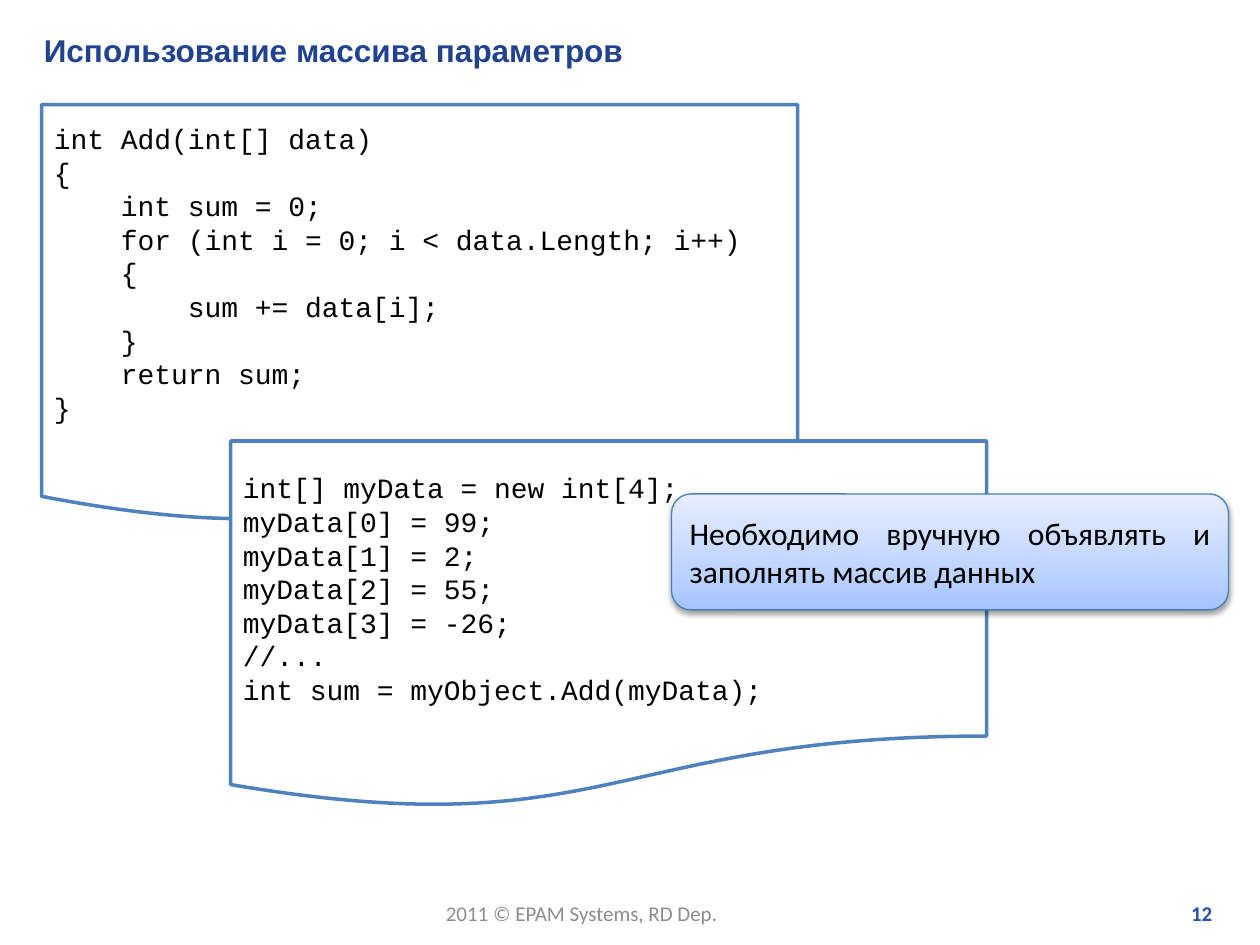
from copy import deepcopy

from lxml import etree
from pptx import Presentation
from pptx.dml.color import RGBColor
from pptx.enum.shapes import MSO_SHAPE
from pptx.enum.text import MSO_ANCHOR, PP_ALIGN
from pptx.oxml.ns import qn
from pptx.util import Inches, Pt

DOCUMENT = MSO_SHAPE.FLOWCHART_DOCUMENT
ROUNDED = MSO_SHAPE.ROUNDED_RECTANGLE
TOP, MIDDLE = MSO_ANCHOR.TOP, MSO_ANCHOR.MIDDLE
LEFT, RIGHT, JUSTIFY = PP_ALIGN.LEFT, PP_ALIGN.RIGHT, PP_ALIGN.JUSTIFY

WHITE = RGBColor(0xFF, 0xFF, 0xFF)
BLACK = RGBColor(0x00, 0x00, 0x00)
NAVY = RGBColor(0x21, 0x43, 0x8F)
BLUE = RGBColor(0x27, 0x50, 0xAB)
GREY = RGBColor(0x8C, 0x8C, 0x8C)
CODE_BORDER = RGBColor(0x4F, 0x81, 0xBD)
CALLOUT_BORDER = RGBColor(0x4B, 0x7E, 0xBC)
CALLOUT_STOPS = [
    (0, RGBColor(0xA4, 0xC4, 0xFF)),
    (0.35, RGBColor(0xBF, 0xD4, 0xFF)),
    (1, RGBColor(0xE6, 0xEE, 0xFF)),
]

TITLE_FONT = {"name": "Arial", "size": Pt(18), "bold": True}
CODE_FONT = {"name": "Courier New", "size": Pt(16)}
CALLOUT_FONT = {"name": "Calibri", "size": Pt(18)}
FOOTER_FONT = {"name": "Calibri", "size": Pt(12)}
NUMBER_FONT = {**FOOTER_FONT, "bold": True}

ADD_CODE = """int Add(int[] data)
{
    int sum = 0;
    for (int i = 0; i < data.Length; i++)
    {
        sum += data[i];
    }
    return sum;
}"""

CALL_CODE = """int[] myData = new int[4];
myData[0] = 99;
myData[1] = 2;
myData[2] = 55;
myData[3] = -26;
//...
int sum = myObject.Add(myData);"""


def write_text(shape, text, font, color, align=LEFT, anchor=MIDDLE, wrap=True):
    """Write each line of the text as one paragraph."""
    frame = shape.text_frame
    frame.word_wrap = wrap
    frame.vertical_anchor = anchor
    for index, line in enumerate(text.split("\n")):
        para = frame.paragraphs[0] if index == 0 else frame.add_paragraph()
        para.alignment = align
        span = para.add_run()
        span.text = line
        for key, value in font.items():
            setattr(span.font, key, value)
        span.font.color.rgb = color


def add_label(page, box, text, font, color, **layout):
    label = page.shapes.add_textbox(*map(Inches, box))
    write_text(label, text, font, color, **layout)


def add_panel(page, kind, box, border, width):
    panel = page.shapes.add_shape(kind, *map(Inches, box))
    panel.shadow.inherit = False
    panel.line.color.rgb = border
    panel.line.width = Pt(width)
    return panel


def add_code(page, box, code):
    panel = add_panel(page, DOCUMENT, box, CODE_BORDER, 2)
    panel.fill.solid()
    panel.fill.fore_color.rgb = WHITE
    write_text(panel, code, CODE_FONT, BLACK)


def add_callout(page, box, text):
    panel = add_panel(page, ROUNDED, box, CALLOUT_BORDER, 0.75)

    # Gradient from the bottom up, with a third stop
    panel.fill.gradient()
    panel.fill.gradient_angle = 90
    properties = panel.element.spPr
    stop_list = properties.find(".//" + qn("a:gsLst"))
    stop_list.append(deepcopy(stop_list[0]))
    for stop, (position, color) in zip(panel.fill.gradient_stops, CALLOUT_STOPS):
        stop.position = position
        stop.color.rgb = color

    # Soft shadow below
    shadow = etree.SubElement(
        properties.find(qn("a:effectLst")), qn("a:outerShdw"),
        blurRad=str(Pt(3.1)), dist=str(Pt(1.6)), dir="5400000", rotWithShape="0")
    tone = etree.SubElement(shadow, qn("a:srgbClr"), val="000000")
    etree.SubElement(tone, qn("a:alpha"), val="38000")

    write_text(panel, text, CALLOUT_FONT, BLACK, align=JUSTIFY)


def add_footer(page, top, height):
    add_label(page, (3.44, top, 2.39, height), "2011 © EPAM Systems, RD Dep.",
              FOOTER_FONT, GREY, anchor=TOP, wrap=False)
    add_label(page, (7.6, top, 2.12, height), "12",
              NUMBER_FONT, BLUE, align=RIGHT, anchor=TOP)


def main():
    deck = Presentation()
    deck.slide_width, deck.slide_height = Inches(10), Inches(7.5)
    page = deck.slides.add_slide(deck.slide_layouts[6])

    add_footer(page, 7.1, 0.3)
    add_label(page, (0.25, 0.2, 9.54, 0.4), "Использование массива параметров",
              TITLE_FONT, NAVY)
    add_code(page, (0.33, 0.83, 6, 3.33), ADD_CODE)
    add_code(page, (1.83, 3.5, 6, 2.92), CALL_CODE)
    add_callout(page, (5.33, 3.92, 4.42, 0.92),
                "Необходимо вручную объявлять и заполнять массив данных")

    deck.save("out.pptx")


if __name__ == "__main__":
    main()
